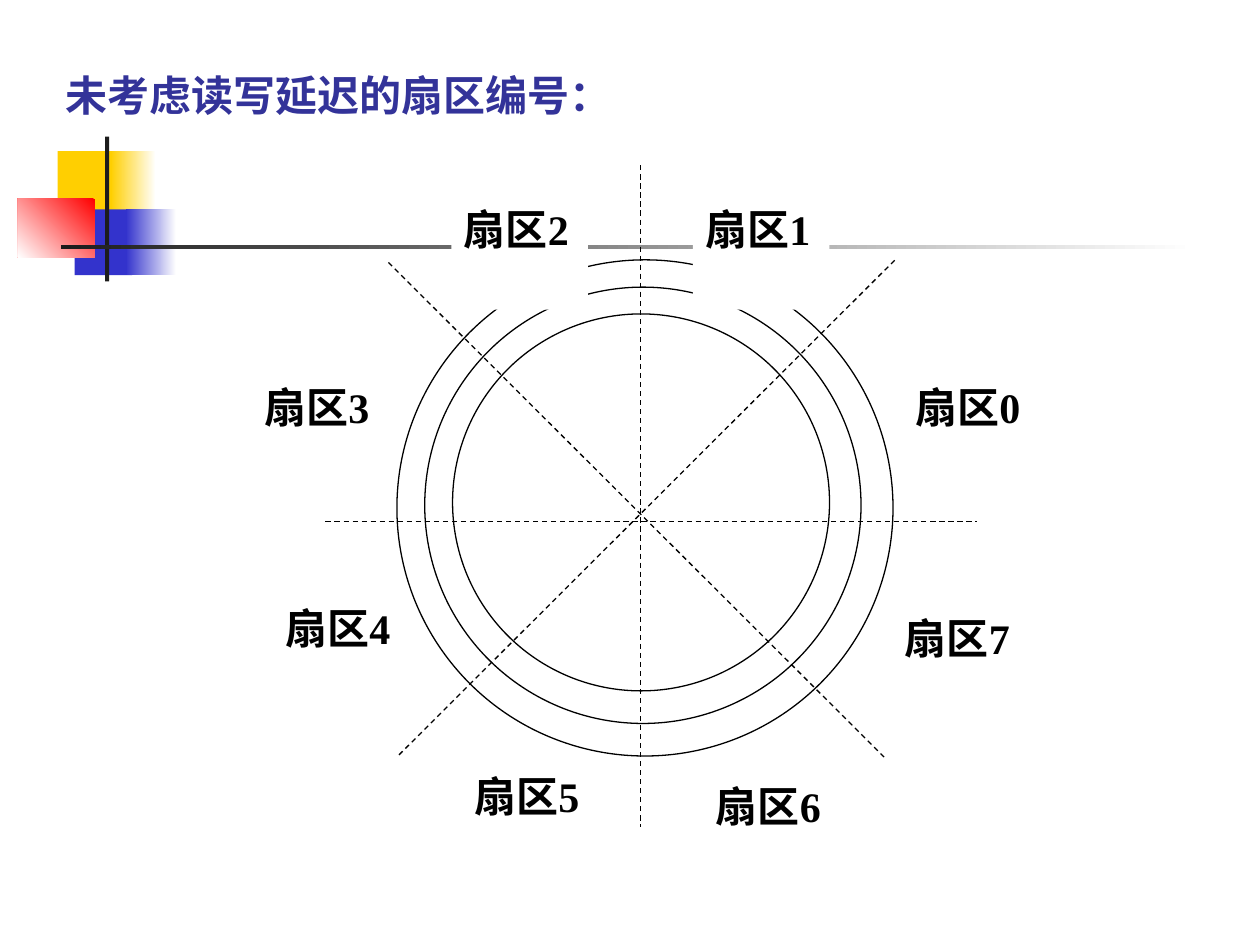
"""Builds a slide of disk sectors numbered without read and write delay."""
from lxml.etree import SubElement
from pptx import Presentation
from pptx.dml.color import RGBColor
from pptx.enum.dml import MSO_LINE as Dash
from pptx.enum.shapes import MSO_CONNECTOR as Link, MSO_SHAPE as Kind
from pptx.enum.text import MSO_ANCHOR as Anchor, PP_ALIGN as Align
from pptx.oxml.ns import qn
from pptx.util import Inches, Pt


def tint(code):
    return RGBColor.from_string(code)


class Deck:
    font, size, gap, thin = "Times New Roman", 24, 15, 0.75
    ink, paper, head = "000000", "FFFFFF", "333399"
    cols, rows = 120, 90

    def __init__(self):
        self.file = Presentation()
        self.file.slide_width, self.file.slide_height = Inches(10), Inches(7.5)
        self.slide = self.file.slides.add_slide(self.file.slide_layouts[5])

    def grid(self, x, y):
        wide, high = self.file.slide_width, self.file.slide_height
        return round(wide * x / self.cols), round(high * y / self.rows)

    def box(self, x, y, w, h):
        return *self.grid(x, y), *self.grid(w, h)

    def words(self, shape, text, hue):
        frame = shape.text_frame
        frame.word_wrap = True
        frame.vertical_anchor = Anchor.TOP
        para = frame.paragraphs[0]
        para.alignment = Align.LEFT
        para.space_before = Pt(self.gap)
        run = para.add_run()
        run.text = text
        font = run.font
        font.name, font.size, font.bold = self.font, Pt(self.size), True
        font.color.rgb = tint(hue)

    def title(self, text, *area):
        shape = self.slide.shapes.title
        shape.left, shape.top, shape.width, shape.height = self.box(*area)
        self.words(shape, text, self.head)

    def shape(self, kind, area, *hues, turn=180):
        item = self.slide.shapes.add_shape(kind, *self.box(*area))
        item.shadow.inherit = False
        item.line.fill.background()
        if len(hues) == 1:
            item.fill.solid()
            item.fill.fore_color.rgb = tint(hues[0])
        else:
            item.fill.gradient()
            item.fill.gradient_angle = turn
            for stop, hue, place in zip(item.fill.gradient_stops, hues, (0, 1)):
                stop.color.rgb, stop.position = tint(hue), place
        return item

    def block(self, area, *hues, turn=180):
        return self.shape(Kind.RECTANGLE, area, *hues, turn=turn)

    def ring(self, x, y, side):
        item = self.shape(Kind.OVAL, (x, y, side, side), self.paper)
        item.line.color.rgb, item.line.width = tint(self.ink), Pt(self.thin)

    def ray(self, x, y, end, foot):
        item = self.slide.shapes.add_connector(
            Link.STRAIGHT, *self.grid(x, y), *self.grid(end, foot))
        item.line.color.rgb, item.line.width = tint(self.ink), Pt(self.thin)
        item.line.dash_style = Dash.DASH
        SubElement(item._element.spPr, qn("a:effectLst"))

    def label(self, text, x, y):
        self.words(self.block((x, y, 13, 10.75), self.paper), text, self.ink)


def main():
    deck = Deck()
    gold, blue, red, dark = "FFCF01", "3333CC", "FF0000", "1C1C1C"
    deck.title("未考虑读写延迟的扇区编号：", 5, 6, 104, 6)

    deck.block((5.5, 14.4, 5.75, 6.25), gold)
    deck.block((10.55, 14.4, 4.3, 6.25), deck.paper, gold)
    deck.block((7.1, 19.95, 5.5, 6.25), blue)
    deck.block((12, 19.95, 4.8, 6.25), deck.paper, blue)
    deck.block((1.7, 18.95, 7.35, 5.55), red, deck.paper, turn=225)
    deck.block((10, 13, 0.4, 13.8), dark)
    deck.block((5.8, 23.35, 108, 0.4), deck.paper, dark)

    for ring in (37.8, 24.75, 47.25), (40.45, 27.35, 41.55), (43.1, 29.9, 35.9):
        deck.ring(*ring)
    for ray in ((37, 25, 84.2, 72.1), (38, 71.9, 85.25, 24.75),
                (61, 15.75, 61, 78.75), (31, 49.7, 93, 49.7)):
        deck.ray(*ray)

    spots = ((86, 35.75), (66, 18.75), (43, 18.75), (24, 35.75),
             (26, 56.75), (44, 72.75), (67, 73.75), (85, 57.75))
    for num, spot in enumerate(spots):
        deck.label(f"扇区{num}", *spot)
    deck.file.save("out.pptx")


if __name__ == "__main__":
    main()
